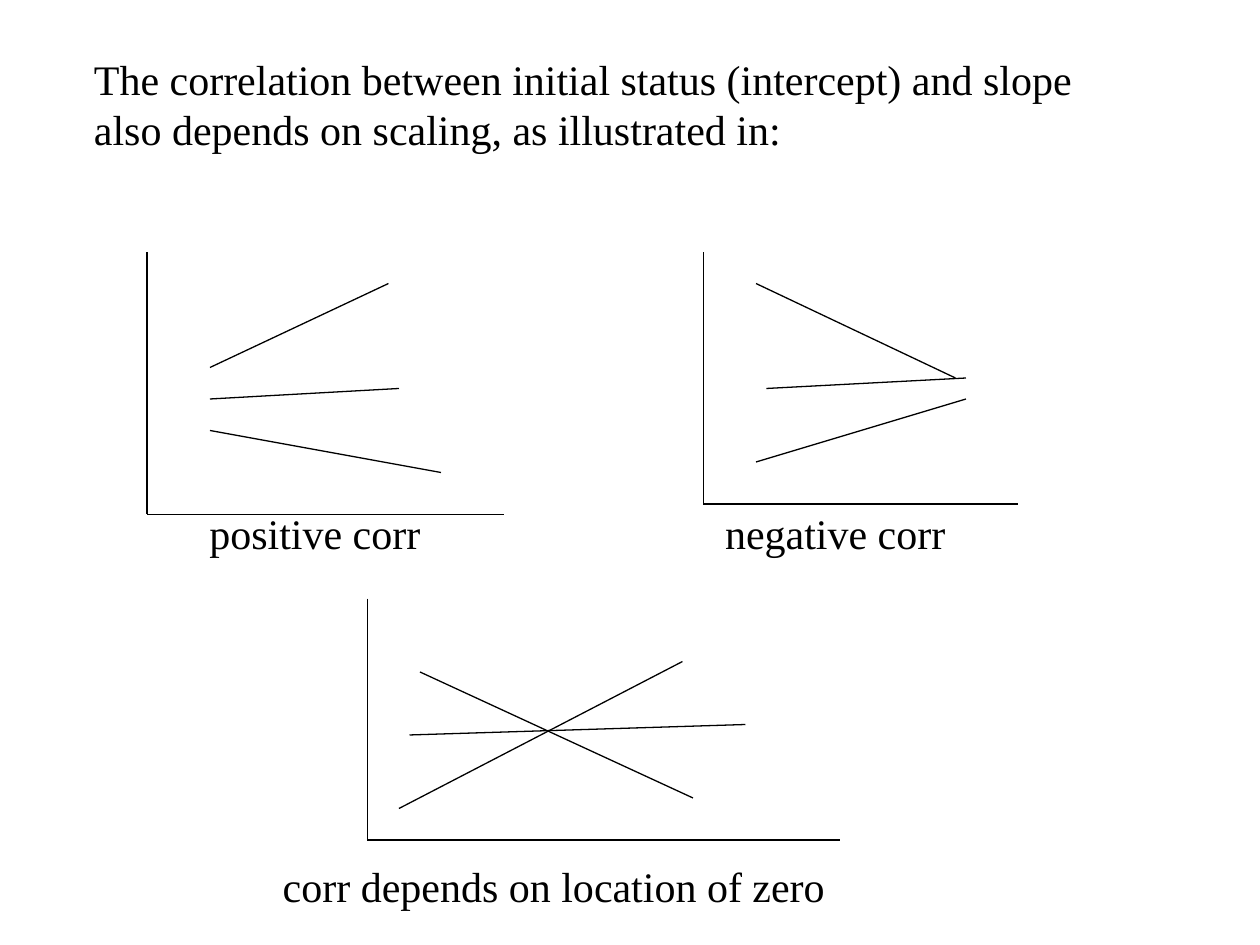
from pptx import Presentation
from pptx.dml.color import RGBColor
from pptx.enum.shapes import MSO_CONNECTOR
from pptx.enum.text import MSO_ANCHOR, MSO_AUTO_SIZE, PP_ALIGN
from pptx.oxml.ns import qn
from pptx.util import Emu, Pt
from lxml.etree import SubElement

EMU_PER_PX = 9525


def px(length):
    return Emu(length * EMU_PER_PX)


def color(value):
    return RGBColor.from_string(value)


class SlideBuilder:
    font = "Times New Roman"
    size = Pt(24)
    spacing = Pt(28.8)
    ink = "000000"
    stroke = Pt(0.75)

    def __init__(self, page):
        self.page = page

    def fill_text(self, box, text):
        frame = box.text_frame
        frame.word_wrap = True
        frame.auto_size = MSO_AUTO_SIZE.NONE
        frame.vertical_anchor = MSO_ANCHOR.TOP
        para = frame.paragraphs[0]
        para.alignment = PP_ALIGN.LEFT
        para.line_spacing = self.spacing
        span = para.add_run()
        span.text = text
        span.font.name = self.font
        span.font.size = self.size
        span.font.color.rgb = color(self.ink)

    def title(self, left, top, width, height, text):
        box = self.page.shapes.title
        box.left, box.top, box.width, box.height = map(px, (left, top, width, height))
        self.fill_text(box, text)

    def label(self, left, top, width, text):
        box = self.page.shapes.add_textbox(*map(px, (left, top, width, 48)))
        self.fill_text(box, text)

    def line(self, *ends):
        connector = self.page.shapes.add_connector(MSO_CONNECTOR.STRAIGHT, *map(px, ends))
        connector.line.color.rgb = color(self.ink)
        connector.line.width = self.stroke
        SubElement(connector._element.spPr, qn("a:effectLst"))

    def graph(self, left, top, right, bottom, trends):
        self.line(left, top, left, bottom)
        self.line(left, bottom, right, bottom)
        for trend in trends:
            self.line(*trend)


def main():
    deck = Presentation()
    deck.slide_width, deck.slide_height = px(960), px(720)
    builder = SlideBuilder(deck.slides.add_slide(deck.slide_layouts[5]))

    builder.title(
        62, 36, 823, 86,
        "The correlation between initial status (intercept) and slope "
        "also depends on scaling, as illustrated in:",
    )
    builder.graph(112, 192, 384, 392, [
        (160, 280, 296, 216),
        (160, 304, 304, 296),
        (160, 328, 336, 360),
    ])
    builder.graph(536, 192, 776, 384, [
        (576, 216, 728, 288),
        (584, 296, 736, 288),
        (576, 352, 736, 304),
    ])
    builder.graph(280, 456, 640, 640, [
        (304, 616, 520, 504),
        (320, 512, 528, 608),
        (312, 560, 568, 552),
    ])
    builder.label(150, 382, 190, "positive corr")
    builder.label(543, 382, 200, "negative corr")
    builder.label(206, 651, 445, "corr depends on location of zero")

    deck.save("out.pptx")


if __name__ == "__main__":
    main()
